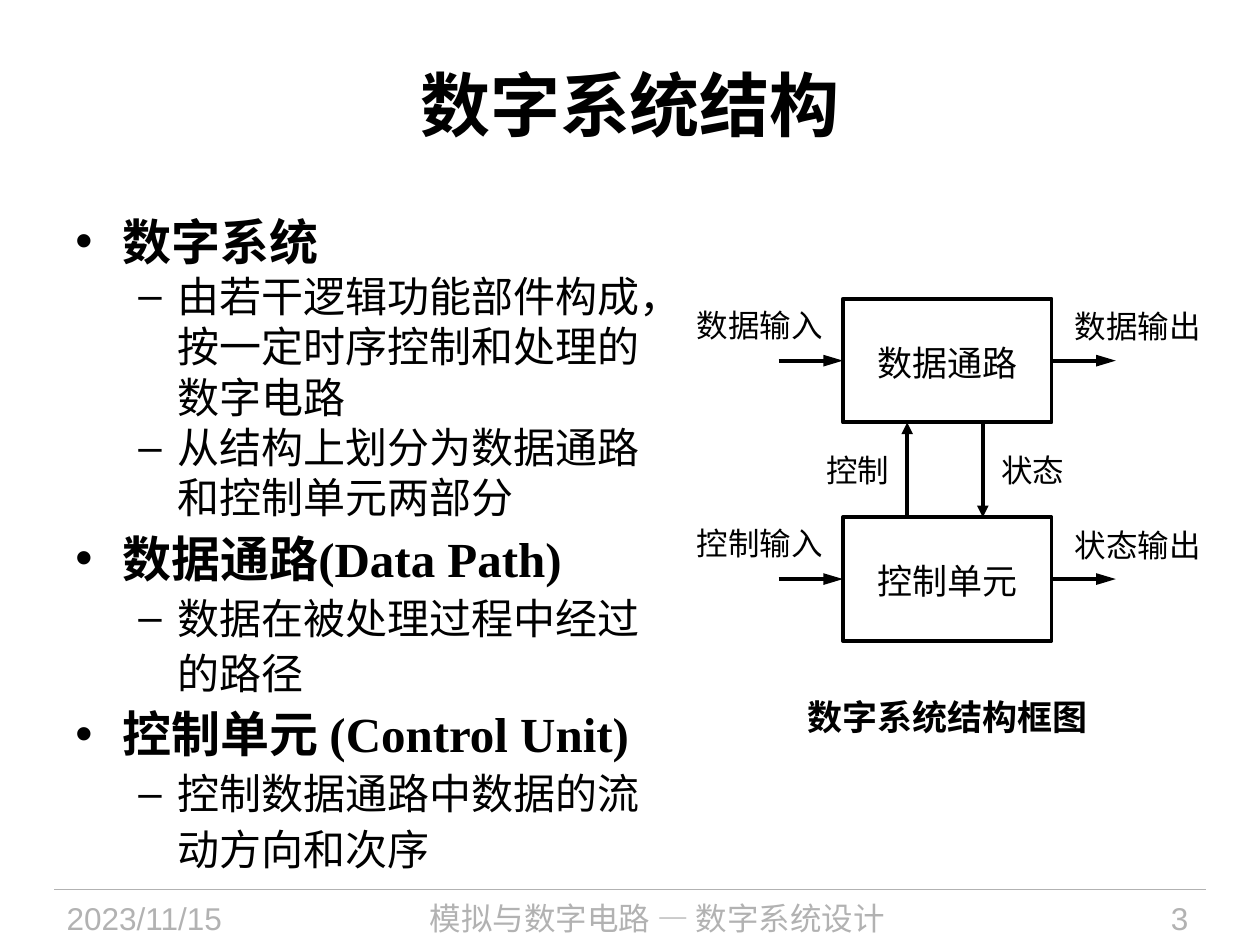
import dataclasses

import lxml.etree
import pptx
import pptx.dml.color
import pptx.enum.shapes
import pptx.enum.text
import pptx.oxml.ns
import pptx.util

Pt = pptx.util.Pt
RGBColor = pptx.dml.color.RGBColor
Align = pptx.enum.text.PP_ALIGN
Anchor = pptx.enum.text.MSO_ANCHOR
qn = pptx.oxml.ns.qn


@dataclasses.dataclass(frozen=True)
class Theme:
    ink: RGBColor = RGBColor(0, 0, 0)
    muted: RGBColor = RGBColor(0xB2, 0xB2, 0xB2)
    serif: str = "Times New Roman"
    sans: str = "Arial"
    chinese: str = "Noto Sans CJK SC"
    title: int = 40
    heading: int = 28
    detail: int = 24
    block: int = 20
    label: int = 18
    leading: float = 1.2


theme = Theme()
presentation = pptx.Presentation()
presentation.slide_width = Pt(720)
presentation.slide_height = Pt(540)
slide = presentation.slides.add_slide(presentation.slide_layouts[6])


def write_text(text, *, box=None, frame=None, size=theme.label, font=theme.serif,
               color=theme.ink, bold=False, align=Align.LEFT, anchor=Anchor.TOP,
               wrap=True, inset=(7.2, 3.6), spacing=1, bullet=None, indent=(0, 0)):
    if box:
        frame = slide.shapes.add_textbox(*map(Pt, box)).text_frame
    if frame.text:
        paragraph = frame.add_paragraph()
    else:
        paragraph = frame.paragraphs[0]
        frame.word_wrap = wrap
        frame.vertical_anchor = anchor
        frame.margin_left = frame.margin_right = Pt(inset[0])
        frame.margin_top = Pt(inset[1] + 0.1 * size)
        frame.margin_bottom = Pt(inset[1])
    paragraph.alignment = align
    paragraph.line_spacing = Pt(round(size * theme.leading * spacing, 1))
    if bullet:
        properties = paragraph._p.get_or_add_pPr()
        properties.set("marL", str(Pt(indent[0])))
        properties.set("indent", str(Pt(indent[1])))
        lxml.etree.SubElement(properties, qn("a:buFont")).set("typeface", theme.sans)
        lxml.etree.SubElement(properties, qn("a:buChar")).set("char", bullet)
    run = paragraph.add_run()
    run.text = text
    run.font.size = Pt(size)
    run.font.bold = bold
    run.font.name = font
    run.font.color.rgb = color
    east_asian = lxml.etree.SubElement(run._r.get_or_add_rPr(), qn("a:ea"))
    east_asian.set("typeface", theme.chinese)
    return frame


def draw_line(start, end, color=theme.ink, width=2.25, arrow_length=None):
    connector = slide.shapes.add_connector(
        pptx.enum.shapes.MSO_CONNECTOR.STRAIGHT, *map(Pt, (*start, *end)))
    connector.line.color.rgb = color
    connector.line.width = Pt(width)
    if arrow_length:
        arrow = lxml.etree.SubElement(connector.line._get_or_add_ln(), qn("a:tailEnd"))
        arrow.set("type", "triangle")
        arrow.set("w", "med")
        arrow.set("len", arrow_length)
    lxml.etree.SubElement(connector._element.spPr, qn("a:effectLst"))
    return connector


footer_top = 508.3
draw_line((31, footer_top), (689, footer_top), color=theme.muted, width=0.75)
for text, left, width, font, align in (
    ("2023/11/15", 31, 135, theme.sans, Align.LEFT),
    ("模拟与数字电路 — 数字系统设计", 172.8, 405.4, theme.chinese, Align.CENTER),
    ("3", 590.4, 95.8, theme.sans, Align.RIGHT),
):
    write_text(text, box=(left, footer_top, width, 31.7), font=font,
               color=theme.muted, align=align)

write_text("数字系统结构", box=(36, 12.2, 648, 90), size=theme.title, bold=True,
           align=Align.CENTER, anchor=Anchor.MIDDLE)

heading = dict(size=theme.heading, bold=True, bullet="•", indent=(27, -27))
detail = dict(size=theme.detail, bullet="–", indent=(58.5, -22.5))
body = None
for text, style, spacing in (
    ("数字系统", heading, 1),
    ("由若干逻辑功能部件构成，按一定时序控制和处理的数字电路", detail, 1),
    ("从结构上划分为数据通路和控制单元两部分", detail, 1),
    ("数据通路(Data Path)", heading, 1.1),
    ("数据在被处理过程中经过的路径", detail, 1.1),
    ("控制单元 (Control Unit)", heading, 1.1),
    ("控制数据通路中数据的流动方向和次序", detail, 1.1),
):
    box = None if body else (36, 114.5, 344.2, 388)
    body = write_text(text, box=box, frame=body, spacing=spacing, **style)

block_left, block_width, block_height = 481.7, 119.2, 70.6
block_right = block_left + block_width
arrow_span = 36.7
data_top, control_top = 170.8, 295.6
for name, top, source, result in (
    ("数据通路", data_top, "数据输入", "数据输出"),
    ("控制单元", control_top, "控制输入", "状态输出"),
):
    block = slide.shapes.add_shape(
        pptx.enum.shapes.MSO_SHAPE.RECTANGLE,
        *map(Pt, (block_left, top, block_width, block_height)))
    block.shadow.inherit = False
    block.fill.background()
    block.line.color.rgb = theme.ink
    block.line.width = Pt(2.25)
    write_text(name, frame=block.text_frame, size=theme.block, align=Align.CENTER,
               anchor=Anchor.MIDDLE, wrap=False, inset=(0, 0))
    middle = top + block_height / 2
    incoming = draw_line((block_left - arrow_span, middle), (block_left, middle),
                         arrow_length="lg")
    incoming.end_connect(block, 1)
    outgoing = draw_line((block_right, middle), (block_right + arrow_span, middle),
                         arrow_length="lg")
    outgoing.begin_connect(block, 3)
    write_text(source, box=(391, top - 1.5, 86.4, 28.8), wrap=False)
    write_text(result, box=(607, top - 0.5, 86.4, 28.8), wrap=False)

data_bottom = data_top + block_height
draw_line((518.4, control_top), (518.4, data_bottom), arrow_length="med")
draw_line((561.6, data_bottom), (561.6, control_top), arrow_length="med")
for text, left in (("控制", 465.1), ("状态", 565.2)):
    write_text(text, box=(left, 252.4, 50.4, 28.8), wrap=False)

write_text("数字系统结构框图", box=(453.6, 391.7, 175.7, 31), size=theme.block,
           font=theme.sans, bold=True, align=Align.CENTER, wrap=False)

presentation.save("out.pptx")
